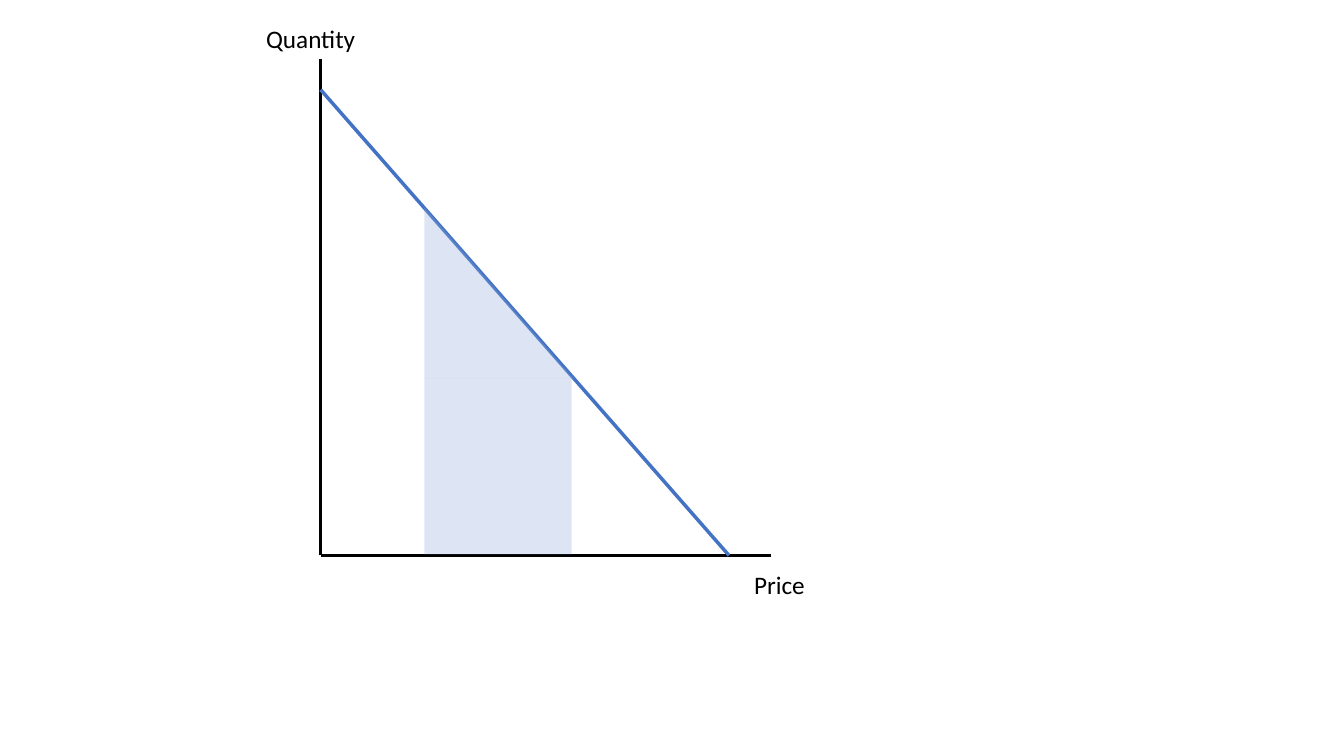
import pptx
import pptx.util
import pptx.dml.color
import pptx.enum.shapes
import pptx.oxml
import pptx.oxml.ns
import pptx.shapes.autoshape
import pptx.shapes.connector
import pptx.shapes.shapetree
from dataclasses import dataclass

Inches = pptx.util.Inches
Color = pptx.dml.color.RGBColor
Kind = pptx.enum.shapes.MSO_SHAPE

BLACK = Color(0x00, 0x00, 0x00)
BLUE = Color(0x44, 0x72, 0xC4)
PALE = Color(0x8F, 0xAA, 0xDC)
FONT = "Calibri"

# Graph frame, in inches
LEFT, BASE = 3.18, 5.51


@dataclass
class Line:
    start: tuple[float, float]
    end: tuple[float, float]
    color: Color
    width: float


@dataclass
class Area:
    kind: Kind
    top: float
    width: float
    height: float


@dataclass
class Label:
    text: str
    left: float
    top: float
    width: float


LINES = [
    Line((7.65, BASE), (LEFT, BASE), BLACK, 2),
    Line((LEFT, BASE), (LEFT, 0.59), BLACK, 2),
    Line((7.23, BASE), (LEFT, 0.89), BLUE, 2.5),
]
AREA_LEFT = 4.21
AREAS = [
    Area(Kind.RECTANGLE, 3.76, 1.46, 1.74),
    Area(Kind.ISOSCELES_TRIANGLE, 2.06, 1.48, 1.7),
]
LABELS = [Label("Price", 7.38, 5.6, 2.01), Label("Quantity", 2.54, 0.18, 1.81)]


def add_text(shapes: pptx.shapes.shapetree.SlideShapes, label: Label, *,
             size: float = 18, color: Color = BLACK, font: str = FONT) -> None:
    box = shapes.add_textbox(Inches(label.left), Inches(label.top),
                             Inches(label.width), Inches(0.4))
    box.text_frame.word_wrap = True
    run = box.text_frame.paragraphs[0].add_run()
    run.text = label.text
    run.font.size = pptx.util.Pt(size)
    run.font.name = font
    run.font.color.rgb = color


def add_line(shapes: pptx.shapes.shapetree.GroupShapes,
             line: Line) -> pptx.shapes.connector.Connector:
    link = shapes.add_connector(
        pptx.enum.shapes.MSO_CONNECTOR.STRAIGHT,
        *(Inches(n) for n in line.start + line.end))
    link.line.color.rgb = line.color
    link.line.width = pptx.util.Pt(line.width)
    props = link._element.spPr
    props.append(pptx.oxml.parse_xml(
        f"<a:effectLst {pptx.oxml.ns.nsdecls('a')}/>"))
    return link


def add_area(shapes: pptx.shapes.shapetree.GroupShapes,
             area: Area) -> pptx.shapes.autoshape.Shape:
    shape = shapes.add_shape(area.kind, Inches(AREA_LEFT), Inches(area.top),
                             Inches(area.width), Inches(area.height))
    shape.shadow.inherit = False
    shape.line.fill.background()
    shape.fill.solid()
    shape.fill.fore_color.rgb = PALE
    tint = shape._element.spPr.find(".//" + pptx.oxml.ns.qn("a:srgbClr"))
    tint.append(pptx.oxml.parse_xml(
        f'<a:alpha {pptx.oxml.ns.nsdecls("a")} val="30000"/>'))
    # The peak of the triangle sits above its left corner
    if area.kind == Kind.ISOSCELES_TRIANGLE:
        shape.adjustments[0] = 0
    return shape


def main() -> None:
    deck = pptx.Presentation()
    deck.slide_width = Inches(13.33)
    deck.slide_height = Inches(7.5)
    slide = deck.slides.add_slide(deck.slide_layouts[6])

    # Axis labels
    for label in LABELS:
        add_text(slide.shapes, label)

    # Axes, demand line and shaded region
    graph = slide.shapes.add_group_shape()
    for line in LINES:
        add_line(graph.shapes, line)
    for area in AREAS:
        add_area(graph.shapes, area)

    deck.save("out.pptx")


if __name__ == "__main__":
    main()
